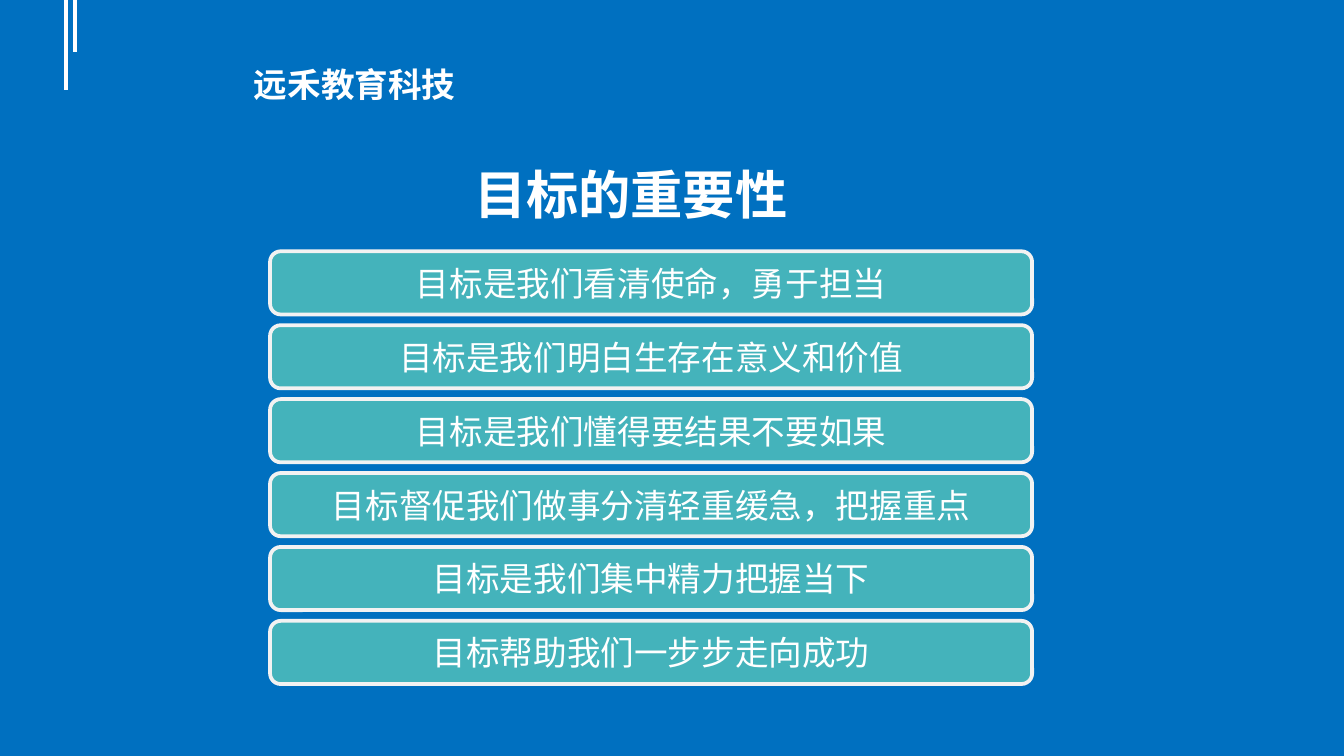
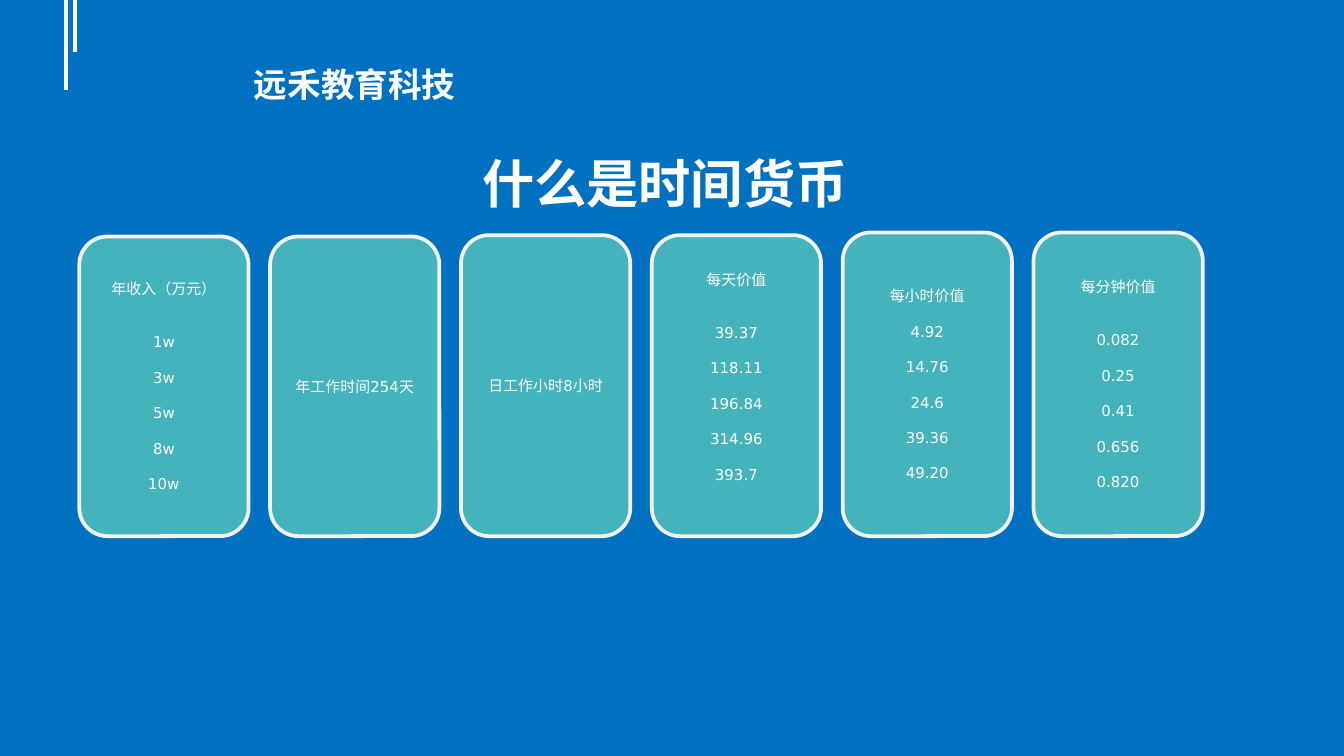
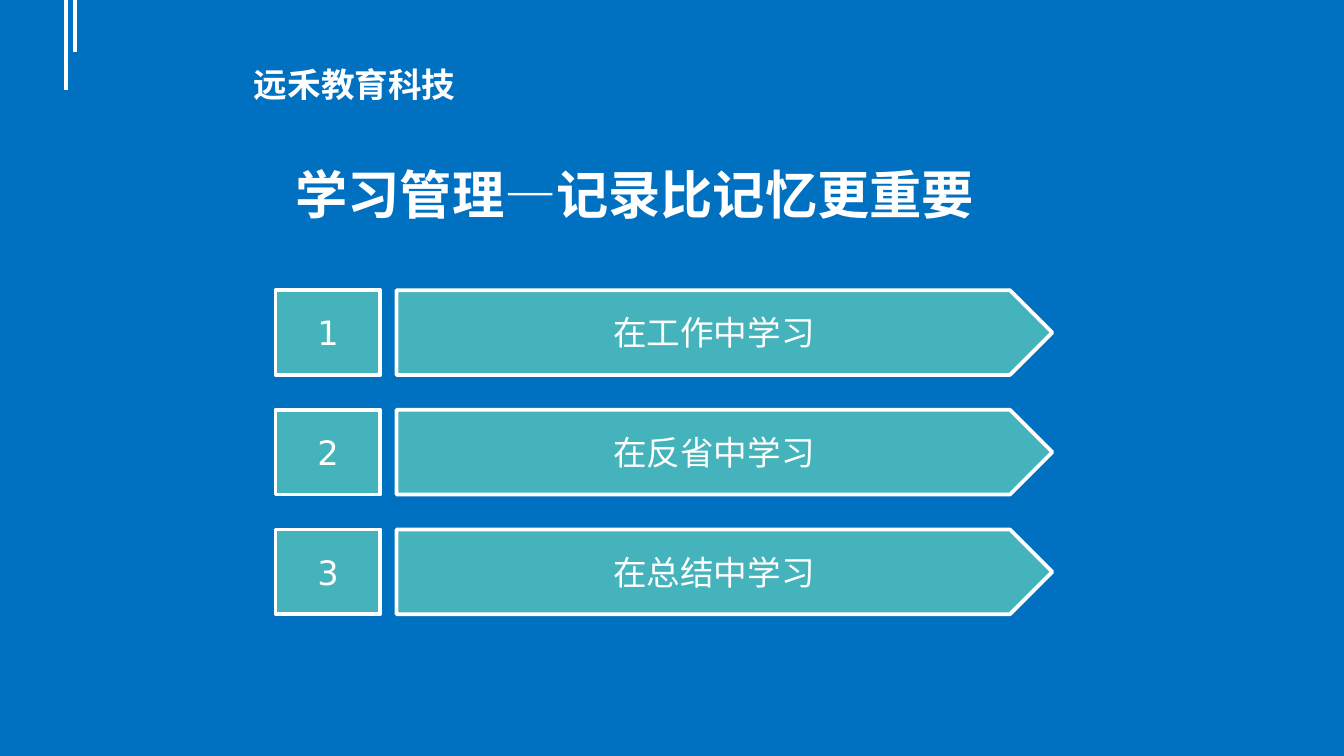
from dataclasses import dataclass

from lxml.etree import SubElement
from pptx import Presentation
from pptx.dml.color import RGBColor
from pptx.enum.shapes import MSO_CONNECTOR, MSO_SHAPE
from pptx.enum.text import MSO_ANCHOR, PP_ALIGN
from pptx.oxml.ns import qn
from pptx.util import Inches, Pt


@dataclass(frozen=True)
class Theme:
    """Colours, type sizes and line widths of the whole presentation."""

    background: RGBColor = RGBColor(0x00, 0x70, 0xC0)
    panel: RGBColor = RGBColor(0x44, 0xB3, 0xBB)
    soft_border: RGBColor = RGBColor(0xF2, 0xF2, 0xF2)
    white: RGBColor = RGBColor(0xFF, 0xFF, 0xFF)
    font: str = "DejaVu Sans"
    title_size: int = 28
    body_size: int = 18
    card_size: int = 8
    card_line: float = 9.4
    border_width: float = 2
    accent_width: float = 2.25


@dataclass(frozen=True)
class Box:
    """A region measured in columns and rows of the slide grid."""

    column: float
    row: float
    columns: float
    rows: float

    def inner(self, column, row, columns, rows):
        """Return a region placed relative to this one."""
        return Box(self.column + column, self.row + row, columns, rows)

    def lengths(self):
        """Return left, top, width and height as slide lengths."""
        return [cells(n) for n in (self.column, self.row, self.columns, self.rows)]


@dataclass(frozen=True)
class Card:
    """A column card with its heading, values and vertical adjustments."""

    heading: str
    values: tuple = ()
    rise: float = 0
    heading_gap: int = 2
    tail_gap: int = 0


THEME = Theme()
GRID_COLUMNS = 100
SLIDE_WIDTH = Inches(10)
SLIDE_HEIGHT = SLIDE_WIDTH * 9 // 16
BRAND = "远禾教育科技"
GOALS = (
    "目标是我们看清使命，勇于担当",
    "目标是我们明白生存在意义和价值",
    "目标是我们懂得要结果不要如果",
    "目标督促我们做事分清轻重缓急，把握重点",
    "目标是我们集中精力把握当下",
    "目标帮助我们一步步走向成功",
)
CARDS = (
    Card("年收入（万元）", ("1w", "3w", "5w", "8w", "10w")),
    Card("年工作时间254天"),
    Card("日工作小时8小时", rise=0.1),
    Card("每天价值", ("39.37", "118.11", "196.84", "314.96", "393.7"), rise=0.1, tail_gap=1),
    Card("每小时价值", ("4.92", "14.76", "24.6", "39.36", "49.20"), rise=0.3, heading_gap=1),
    Card("每分钟价值", ("0.082", "0.25", "0.41", "0.656", "0.820"), rise=0.3),
)
LESSONS = ("在工作中学习", "在反省中学习", "在总结中学习")


def cells(count):
    """Convert a number of grid cells to a slide length."""
    return round(SLIDE_WIDTH * count / GRID_COLUMNS)


def add_run(paragraph, text, size, bold=False):
    """Add one white run in the theme font."""
    run = paragraph.add_run()
    run.text = text
    run.font.name = THEME.font
    run.font.size = Pt(size)
    run.font.bold = bold
    run.font.color.rgb = THEME.white


def add_label(slide, box, text, size, anchor):
    """Add a bold left-aligned text box."""
    frame = slide.shapes.add_textbox(*box.lengths()).text_frame
    frame.word_wrap = True
    frame.vertical_anchor = anchor
    add_run(frame.paragraphs[0], text, size, bold=True)


def add_panel(slide, box, kind, border):
    """Add a bordered panel and return its text frame."""
    shape = slide.shapes.add_shape(kind, *box.lengths())
    shape.shadow.inherit = False
    shape.fill.solid()
    shape.fill.fore_color.rgb = THEME.panel
    shape.line.color.rgb = border
    shape.line.width = Pt(THEME.border_width)
    frame = shape.text_frame
    frame.word_wrap = True
    frame.vertical_anchor = MSO_ANCHOR.MIDDLE
    frame.paragraphs[0].alignment = PP_ALIGN.CENTER
    return frame


def add_accents(slide, box):
    """Hang two vertical lines from the top of the box."""
    for column, rows in ((0, box.rows), (box.columns, 3.9)):
        left, top, _, height = box.inner(column, 0, 0, rows).lengths()
        line = slide.shapes.add_connector(MSO_CONNECTOR.STRAIGHT, left, top, left, top + height)
        line.line.color.rgb = THEME.white
        line.line.width = Pt(THEME.accent_width)
        SubElement(line._element.spPr, qn("a:effectLst"))


def add_frame(presentation, title, title_box):
    """Add a blank slide with background, accents, brand and title."""
    slide = presentation.slides.add_slide(presentation.slide_layouts[6])
    slide.background.fill.solid()
    slide.background.fill.fore_color.rgb = THEME.background
    add_accents(slide, Box(4.9, 0, 0.7, 6.7))
    add_label(slide, title_box, title, THEME.title_size, MSO_ANCHOR.MIDDLE)
    add_label(slide, Box(17.9, 4.3, 20.5, 6.4), BRAND, THEME.body_size, MSO_ANCHOR.TOP)
    return slide


def add_goals(slide, box):
    """Stack one rounded bar per goal with an equal pitch."""
    pitch = box.rows / len(GOALS)
    for index, goal in enumerate(GOALS):
        bar = box.inner(0, index * pitch, box.columns, 4.7)
        frame = add_panel(slide, bar, MSO_SHAPE.ROUNDED_RECTANGLE, THEME.soft_border)
        add_run(frame.paragraphs[0], goal, THEME.body_size)


def add_cards(slide, box):
    """Set the value cards side by side with an equal pitch."""
    pitch = box.columns / len(CARDS)
    for index, card in enumerate(CARDS):
        panel = box.inner(index * pitch, -card.rise, 12.6, box.rows + card.rise)
        frame = add_panel(slide, panel, MSO_SHAPE.ROUNDED_RECTANGLE, THEME.soft_border)
        frame.margin_bottom += Pt(card.tail_gap * THEME.card_line)
        add_run(frame.paragraphs[0], card.heading, THEME.card_size)
        for position, value in enumerate(card.values):
            paragraph = frame.add_paragraph()
            paragraph.alignment = PP_ALIGN.CENTER
            gap = 1 if position else card.heading_gap
            paragraph.space_before = Pt(gap * THEME.card_line)
            add_run(paragraph, value, THEME.card_size)


def add_lessons(slide, box):
    """Pair a number tile with an arrow for each lesson."""
    pitch = box.rows / len(LESSONS)
    for index, lesson in enumerate(LESSONS):
        pieces = (
            (0, 7.8, MSO_SHAPE.RECTANGLE, str(index + 1)),
            (9, box.columns - 9, MSO_SHAPE.PENTAGON, lesson),
        )
        for column, columns, kind, text in pieces:
            piece = box.inner(column, index * pitch, columns, 6.3)
            frame = add_panel(slide, piece, kind, THEME.white)
            add_run(frame.paragraphs[0], text, THEME.body_size)


def main():
    """Build the three slides and save the presentation."""
    presentation = Presentation()
    presentation.slide_width = SLIDE_WIDTH
    presentation.slide_height = SLIDE_HEIGHT

    slide = add_frame(presentation, "目标的重要性", Box(34.3, 11.6, 60, 5.6))
    add_goals(slide, Box(20.1, 18.7, 56.7, 33))

    slide = add_frame(presentation, "什么是时间货币", Box(34.9, 10.8, 47, 5.6))
    add_cards(slide, Box(5.9, 17.6, 85.2, 22.3))

    slide = add_frame(presentation, "学习管理—记录比记忆更重要", Box(21, 11.6, 65.2, 5.6))
    add_lessons(slide, Box(20.5, 21.6, 57.8, 26.7))

    presentation.save("out.pptx")


if __name__ == "__main__":
    main()
